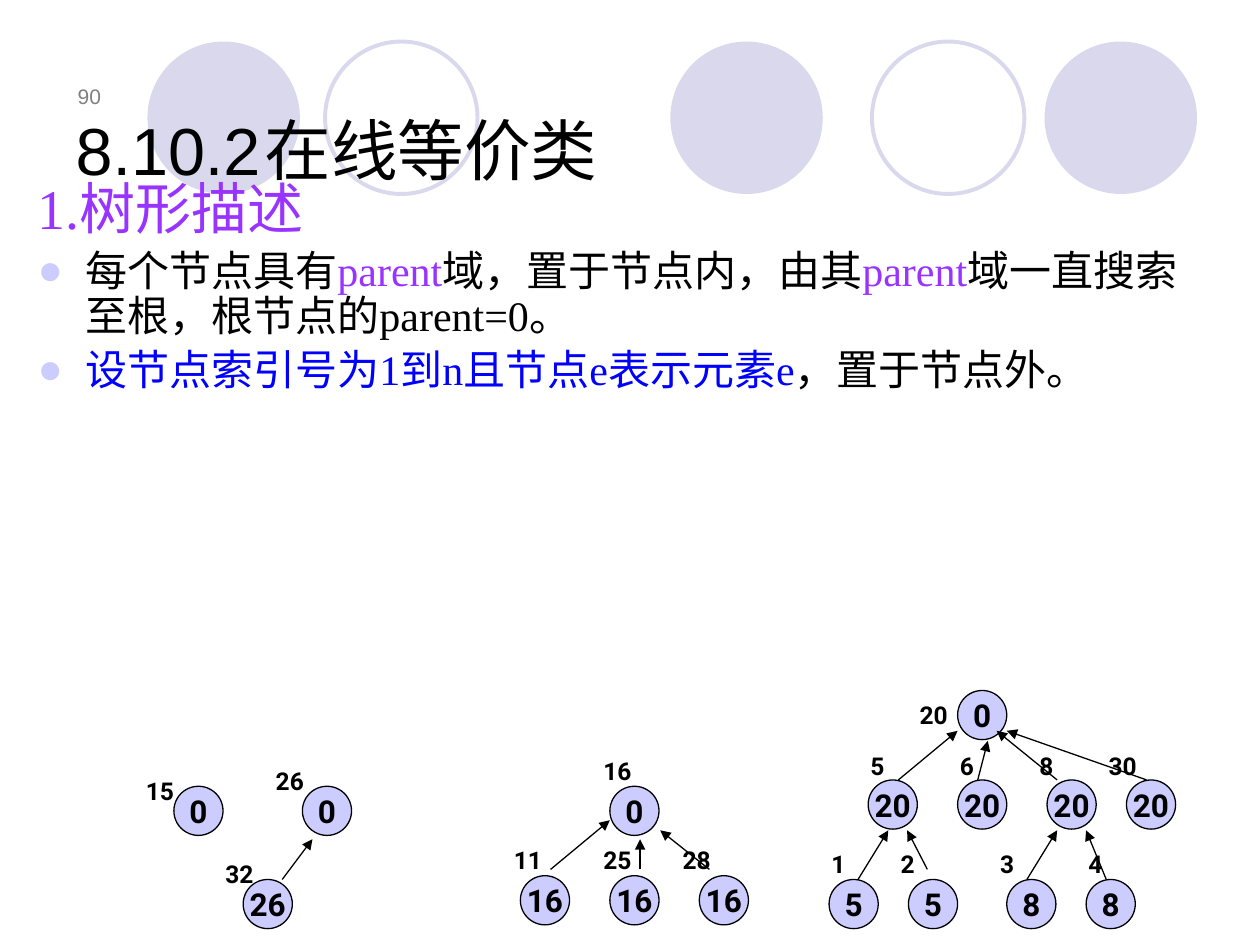
from lxml import etree
from pptx import Presentation, util as u
from pptx.dml.color import RGBColor
from pptx.enum import shapes, text
from pptx.oxml.ns import qn

PX = 9144
BLACK, PURPLE, BLUE, LILAC, PALE = "000000", "9933FF", "0000FF", "CCCCFF", "D9D8EC"
NODE, LABEL_W, LABEL_H, CIRCLE = 39, 47, 33, 121

TITLE = "8.10.2\t在线等价类"
PAGE = "90"
BODY = [
    (32, 6.4, False, [("1.树形描述", PURPLE)]),
    (24, 4.8, True, [("每个节点具有", BLACK), ("parent", PURPLE), ("域，置于节点内，由其", BLACK),
                     ("parent", PURPLE), ("域一直搜索至根，根节点的parent=0。", BLACK)]),
    (24, 4.8, True, [("设节点索引号为1到n且节点e表示元素e", BLUE), ("，置于节点外。", BLACK)]),
]
CIRCLES = [(117, True), (258, False), (532, True), (692, False), (829, True)]
# node top, then (node left, parent, index, index left, index top)
ROWS = [
    (548, [(760, "0", "20", 720, 551)]),
    (619, [(689, "20", "5", 681, 591), (760, "20", "6", 752, 591),
           (831, "20", "8", 815, 591), (894, "20", "30", 870, 591)]),
    (624, [(138, "0", "15", 106, 611), (240, "0", "26", 209, 603), (484, "0", "16", 469, 595)]),
    (695, [(413, "16", "11", 398, 666), (484, "16", "25", 469, 666), (555, "16", "28", 532, 666)]),
    (698, [(193, "26", "32", 169, 677), (658, "5", "1", 650, 669), (721, "5", "2", 705, 669),
           (799, "8", "3", 784, 669), (862, "8", "4", 854, 669)]),
]
ARROWS = [
    (224, 698, 248, 666), (437, 690, 484, 651), (508, 690, 508, 666), (563, 690, 524, 659),
    (681, 698, 705, 659), (736, 690, 720, 659), (815, 698, 839, 659), (878, 698, 862, 659),
    (910, 619, 799, 580), (839, 619, 791, 580), (776, 619, 784, 588), (713, 619, 760, 580),
]


def rgb(value):
    return RGBColor.from_string(value)


def box(*lengths):
    return [v * PX for v in lengths]


def apply(obj, **values):
    for name, value in values.items():
        setattr(obj, name, value)


def add_run(p, words, size, font, color, bold=False):
    r = p.add_run()
    r.text = words
    apply(r.font, size=u.Pt(size), name=font, bold=bold)
    r.font.color.rgb = rgb(color)


def add_ellipse(s, x, y, size, fill, line, width):
    sp = s.shapes.add_shape(shapes.MSO_SHAPE.OVAL, *box(x, y, size, size))
    sp.shadow.inherit = False
    if fill:
        sp.fill.solid()
        sp.fill.fore_color.rgb = rgb(fill)
    else:
        sp.fill.background()
    if line:
        sp.line.color.rgb = rgb(line)
        sp.line.width = u.Pt(width)
    else:
        sp.line.fill.background()
    return sp


def add_text(s, *at):
    tf = s.shapes.add_textbox(*box(*at)).text_frame
    tf.word_wrap = True
    return tf


def add_bullet(p):
    pPr = p._p.get_or_add_pPr()
    apply_indent = {"marL": 38 * PX, "indent": -38 * PX}
    for name, value in apply_indent.items():
        pPr.set(name, str(value))
    color = etree.SubElement(pPr, qn("a:buClr"))
    etree.SubElement(color, qn("a:srgbClr"), val=LILAC)
    etree.SubElement(pPr, qn("a:buFont"), typeface="Arial")
    etree.SubElement(pPr, qn("a:buChar"), char="●")


def add_arrow(s, *ends):
    cx = s.shapes.add_connector(shapes.MSO_CONNECTOR.STRAIGHT, *box(*ends))
    cx.line.color.rgb = rgb(BLACK)
    cx.line.width = u.Pt(0.75)
    etree.SubElement(cx.line._get_or_add_ln(), qn("a:tailEnd"), type="triangle")
    etree.SubElement(cx._element.spPr, qn("a:effectLst"))


def main():
    prs = Presentation()
    apply(prs, slide_width=1000 * PX, slide_height=750 * PX)
    s = prs.slides.add_slide(prs.slide_layouts[5])

    title = s.shapes.title
    apply(title, **dict(zip(("left", "top", "width", "height"), box(50, 30, 900, 125))))
    tf = title.text_frame
    apply(tf, vertical_anchor=text.MSO_ANCHOR.BOTTOM, auto_size=text.MSO_AUTO_SIZE.NONE)
    tf.paragraphs[0].alignment = text.PP_ALIGN.LEFT
    add_run(tf.paragraphs[0], TITLE, 38, "Arial", BLACK)

    for x, solid in CIRCLES:
        sp = add_ellipse(s, x, 33, CIRCLE, PALE if solid else None, None if solid else PALE, 2.25)
        s.shapes._spTree.remove(sp._element)
        s.shapes._spTree.insert_element_before(sp._element, "p:sp")
        title._element.addprevious(sp._element)

    tf = add_text(s, 35, 44, 55, 47)
    tf.vertical_anchor = text.MSO_ANCHOR.BOTTOM
    tf.paragraphs[0].alignment = text.PP_ALIGN.RIGHT
    add_run(tf.paragraphs[0], PAGE, 12, "Arial", "808080")

    tf = add_text(s, 20, 139, 953, 394)
    for i, (size, before, bulleted, runs) in enumerate(BODY):
        p = tf.add_paragraph() if i else tf.paragraphs[0]
        apply(p, line_spacing=0.9, space_before=u.Pt(before))
        if bulleted:
            add_bullet(p)
        for words, color in runs:
            add_run(p, words, size, "Times New Roman", color)

    for top, nodes in ROWS:
        for left, parent, *_ in nodes:
            tf = add_ellipse(s, left, top, NODE, LILAC, BLACK, 0.75).text_frame
            apply(tf, word_wrap=False, vertical_anchor=text.MSO_ANCHOR.MIDDLE)
            tf.paragraphs[0].alignment = text.PP_ALIGN.CENTER
            add_run(tf.paragraphs[0], parent, 18, "Roboto", BLACK, True)
    for _, nodes in ROWS:
        for _, _, index, x, y in nodes:
            tf = add_text(s, x, y, LABEL_W, LABEL_H)
            add_run(tf.paragraphs[0], index, 14, "Roboto", BLACK, True)
    for ends in ARROWS:
        add_arrow(s, *ends)

    prs.save("out.pptx")


if __name__ == "__main__":
    main()
